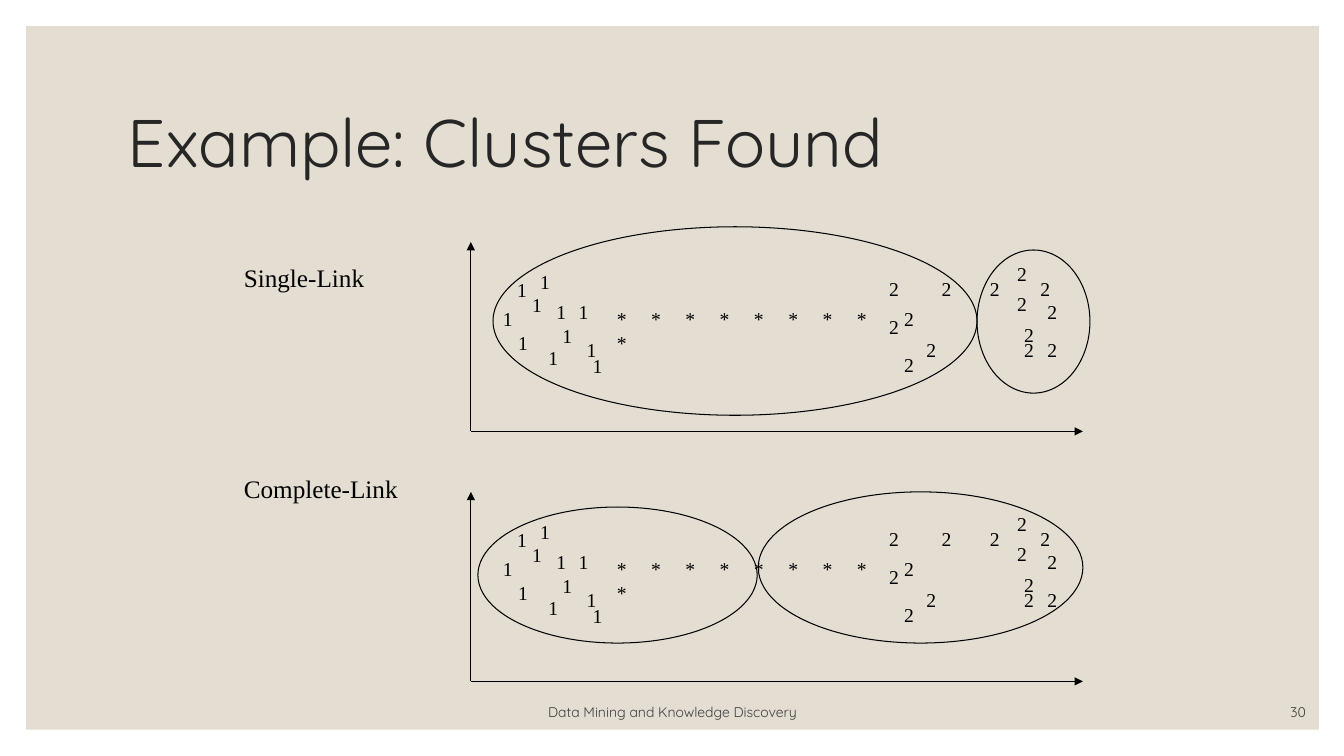
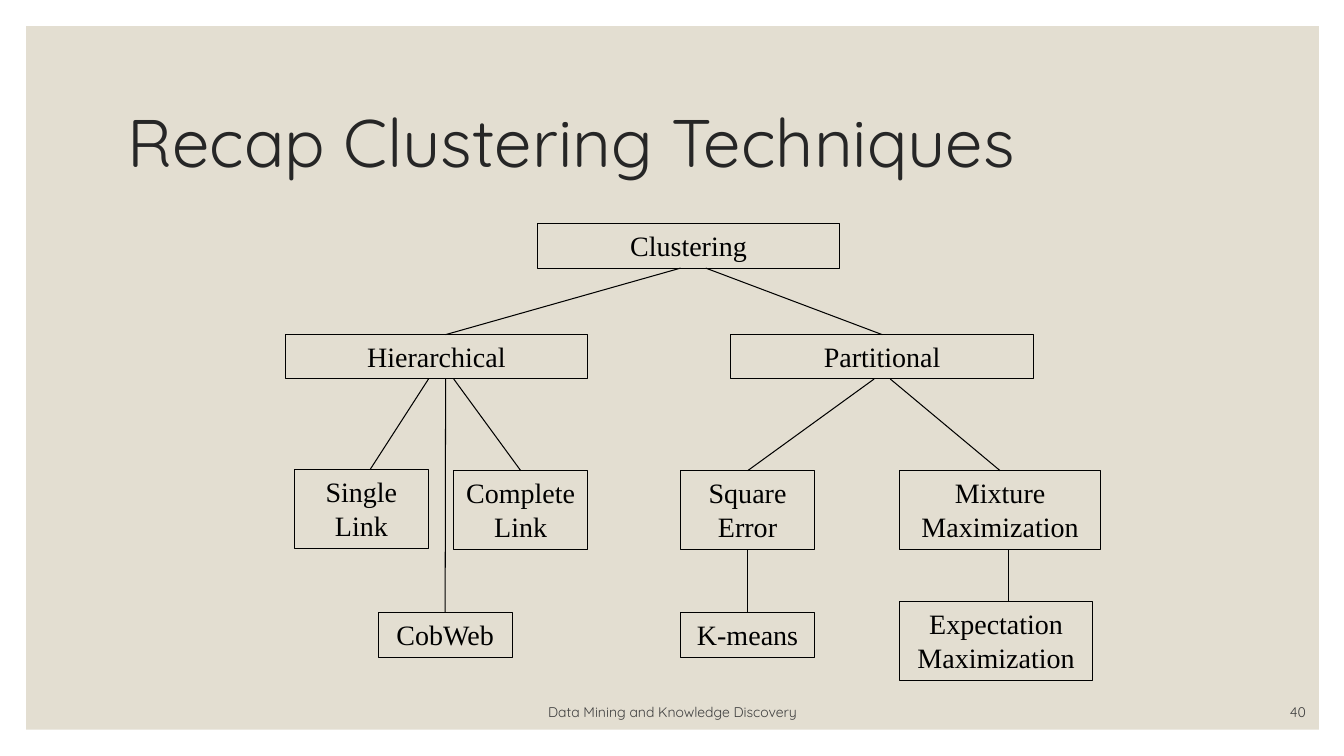
from lxml import etree
from pptx import Presentation
from pptx.dml.color import RGBColor
from pptx.enum.shapes import MSO_CONNECTOR, MSO_SHAPE
from pptx.enum.text import MSO_ANCHOR, PP_ALIGN
from pptx.oxml.ns import qn
from pptx.util import Inches, Pt

RECT, OVAL = MSO_SHAPE.RECTANGLE, MSO_SHAPE.OVAL
LINE = MSO_CONNECTOR.STRAIGHT
LEFT, MID, RIGHT = PP_ALIGN.LEFT, PP_ALIGN.CENTER, PP_ALIGN.RIGHT
TOP, CENTER, BASE = MSO_ANCHOR.TOP, MSO_ANCHOR.MIDDLE, MSO_ANCHOR.BOTTOM

HUES = {"band": "E3DED1", "title": "262626", "foot": "404040", "ink": "000000"}
SANS, SERIF = "Quicksand", "Times New Roman"
STYLES = {
    "title": dict(name=SANS, size=48),
    "foot": dict(name=SANS, size=10),
    "label": dict(name=SERIF, size=18),
    "point": dict(name=SERIF, size=14),
    "node": dict(name=SERIF, size=20),
}
FOOT = "Data Mining and Knowledge Discovery"

PLOTS = [
    ("Single-Link", 2.55, 2.4, [(4.89, 2.25, 4.8, 1.87), (9.69, 2.48, 1.12, 1.42)]),
    ("Complete-Link", 4.65, 4.88, [(4.74, 5.03, 2.77, 1.35), (7.52, 4.88, 3.22, 1.5)]),
]
AXIS = dict(left=4.67, right=10.74, high=1.88)
POINTS = {
    "1": [(5.03, 0.31), (5.18, 0.46), (5.42, 0.53), (5.48, 0.76), (5.72, 0.9),
          (5.78, 1.06), (5.04, 0.83), (5.34, 0.98), (5.64, 0.53), (5.26, 0.23),
          (4.89, 0.6)],
    "2": [(8.72, 0.3), (8.72, 0.68), (8.87, 0.6), (8.87, 1.05), (9.09, 0.9),
          (9.99, 0.15), (9.24, 0.3), (10.29, 0.9), (10.29, 0.53), (10.06, 0.75),
          (9.99, 0.45), (9.72, 0.3), (10.22, 0.3), (10.06, 0.9)],
    "*": [(6.02 + 0.34 * i, 0.6) for i in range(8)] + [(6.02, 0.83)],
}

NODES = {
    "Clustering": (5.33, 2.22, 3, 0.44),
    "Hierarchical": (2.83, 3.32, 3, 0.44),
    "Partitional": (7.25, 3.32, 3, 0.44),
    "Single Link": (2.92, 4.66, 1.33, 0.78),
    "Complete Link": (4.5, 4.67, 1.33, 0.78),
    "Square Error": (6.75, 4.67, 1.33, 0.78),
    "Mixture Maximization": (8.92, 4.67, 2, 0.78),
    "CobWeb": (3.75, 6.08, 1.33, 0.44),
    "K-means": (6.75, 6.08, 1.33, 0.44),
    "Expectation Maximization": (8.92, 5.97, 1.92, 0.78),
}
LINKS = [
    ("Clustering", 6.75, "Hierarchical", 4.42),
    ("Clustering", 7, "Partitional", None),
    ("Hierarchical", 4.25, "Single Link", 3.67),
    ("Hierarchical", 4.5, "Complete Link", None),
    ("Hierarchical", 4.42, "CobWeb", None),
    ("Partitional", 8.67, "Square Error", None),
    ("Partitional", 8.83, "Mixture Maximization", None),
    ("Square Error", None, "K-means", None),
    ("Mixture Maximization", 10, "Expectation Maximization", 10),
]


def color(key):
    return RGBColor.from_string(HUES[key])


def write(shape, text, style, hue="ink", align=LEFT, anchor=TOP, wrap=True):
    frame = shape.text_frame
    frame.word_wrap, frame.vertical_anchor = wrap, anchor
    para = frame.paragraphs[0]
    para.alignment = align
    run = para.add_run()
    run.text = text
    for key, value in STYLES[style].items():
        setattr(run.font, key, Pt(value) if key == "size" else value)
    run.font.color.rgb = color(hue)
    return para


def add_text(slide, box, text, style, **kind):
    return write(slide.shapes.add_textbox(*map(Inches, box)), text, style, **kind)


def add_form(slide, form, box, fill=None):
    shape = slide.shapes.add_shape(form, *map(Inches, box))
    shape.shadow.inherit = False
    if fill:
        shape.fill.solid()
        shape.fill.fore_color.rgb = color(fill)
        shape.line.fill.background()
    else:
        shape.fill.background()
        shape.line.color.rgb = color("ink")
        shape.line.width = Pt(0.75)
    return shape


def add_line(slide, start, end, arrow=False):
    line = slide.shapes.add_connector(LINE, *map(Inches, (*start, *end)))
    line.line.color.rgb = color("ink")
    line.line.width = Pt(0.75)
    if arrow:
        tip = etree.SubElement(line.line._get_or_add_ln(), qn("a:tailEnd"))
        tip.set("type", "triangle")
    etree.SubElement(line._element.spPr, qn("a:effectLst"))
    return line


def add_slide(deck, title, page):
    slide = deck.slides.add_slide(deck.slide_layouts[6])
    add_form(slide, RECT, (0.26, 0.26, 12.82, 6.98), "band")
    head = add_text(slide, (1.17, 0.7, 11, 1.5), title, "title", hue="title", anchor=CENTER)
    head.line_spacing = 0.9
    for box, text, align in [((3.82, 6.9, 5.7, 0.3), FOOT, MID),
                             ((11.45, 6.9, 1.6, 0.3), page, RIGHT)]:
        add_text(slide, box, text, "foot", hue="foot", align=align, anchor=BASE)
    return slide


def draw_plots(slide):
    for name, label, top, rings in PLOTS:
        add_text(slide, (2.32, label, 2, 0.4), name, "label")
        zero = (AXIS["left"], top + AXIS["high"])
        for end in [(AXIS["left"], top), (AXIS["right"], zero[1])]:
            add_line(slide, zero, end, arrow=True)
        for mark, spots in POINTS.items():
            for x, y in spots:
                add_text(slide, (x, top + y, 0.3, 0.33), mark, "point", wrap=False)
        for ring in rings:
            add_form(slide, OVAL, ring)


def draw_tree(slide):
    forms = {}
    for name, box in NODES.items():
        forms[name] = add_form(slide, RECT, box)
        write(forms[name], name, "node", align=MID)
    for top, start, low, end in LINKS:
        base = NODES[top][1] + NODES[top][3]
        line = add_line(slide, (start or 0, base), (end or 0, NODES[low][1]))
        if start is None:
            line.begin_connect(forms[top], 2)
        if end is None:
            line.end_connect(forms[low], 0)


def main():
    deck = Presentation()
    deck.slide_width, deck.slide_height = Inches(13.33), Inches(7.5)
    draw_plots(add_slide(deck, "Example: Clusters Found", "30"))
    draw_tree(add_slide(deck, "Recap Clustering Techniques", "40"))
    deck.save("out.pptx")


if __name__ == "__main__":
    main()
